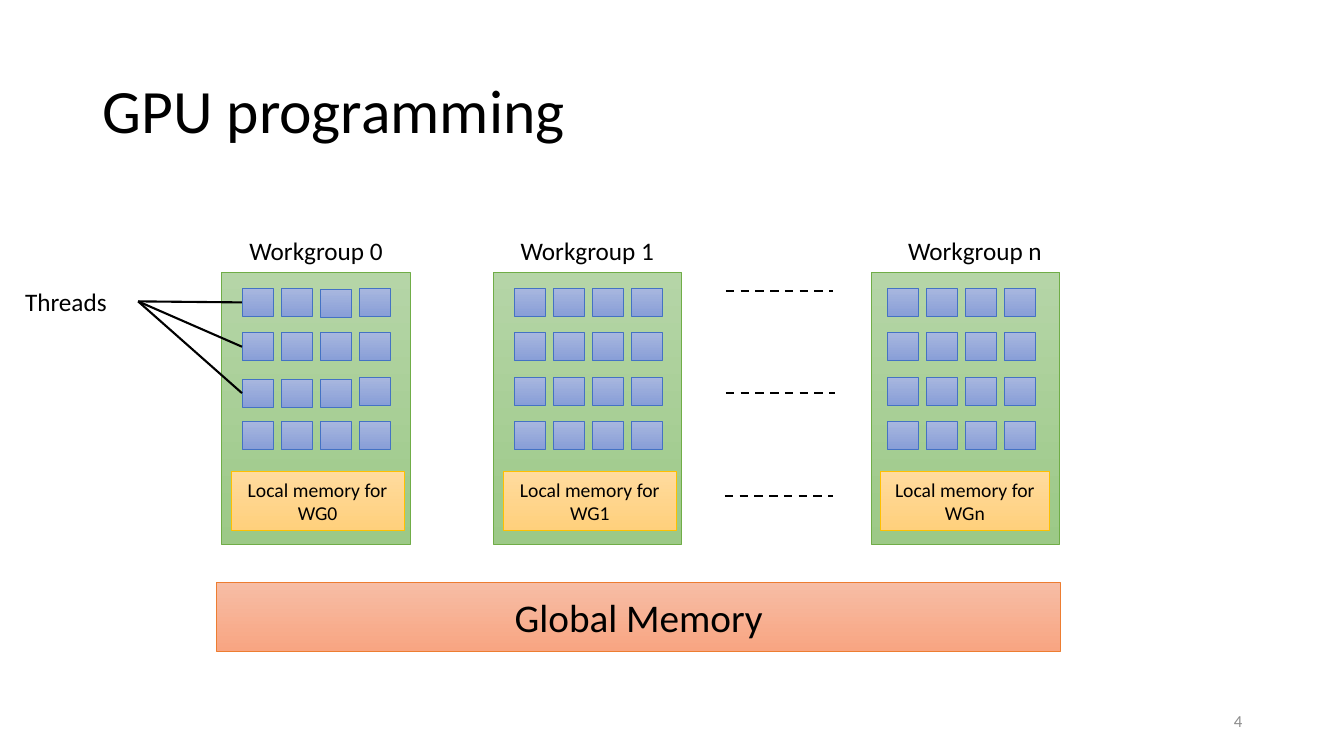
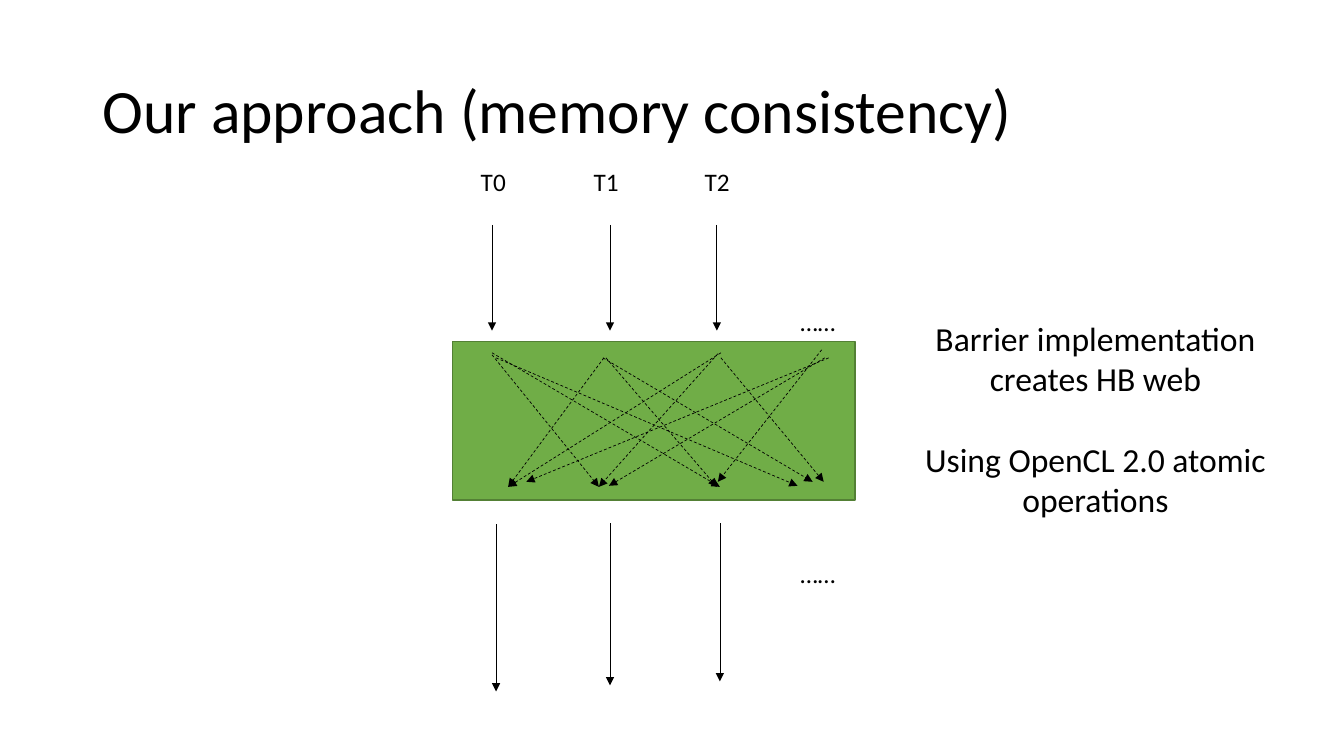
from dataclasses import dataclass

from lxml import etree
from pptx import Presentation
from pptx.dml.color import RGBColor
from pptx.enum.dml import MSO_LINE
from pptx.enum.shapes import MSO_CONNECTOR, MSO_SHAPE
from pptx.enum.text import MSO_ANCHOR, PP_ALIGN
from pptx.oxml.ns import qn
from pptx.util import Inches, Pt

RECTANGLE = MSO_SHAPE.RECTANGLE
STRAIGHT = MSO_CONNECTOR.STRAIGHT
DASH = MSO_LINE.DASH
LEFT, CENTER, RIGHT = PP_ALIGN.LEFT, PP_ALIGN.CENTER, PP_ALIGN.RIGHT
TOP, MIDDLE = MSO_ANCHOR.TOP, MSO_ANCHOR.MIDDLE
LEFT_SIDE = 1


@dataclass(frozen=True)
class Theme:
    font: str = "Calibri"
    ink: str = "000000"
    muted: str = "8C8C8C"
    group: tuple = ("B5D5A7", "9CC987", "70AD47")
    thread: tuple = ("A8B7DF", "889ED7", "4472C4")
    local: tuple = ("FFDB9E", "FFD07C", "FFC000")
    shared: tuple = ("F7BDA5", "F8A582", "ED7D31")
    barrier: tuple = ("70AD47", "70AD47", "538035")
    title: int = 44
    heading: int = 28
    note: int = 24
    label: int = 18
    small: int = 14
    footer: int = 12
    thin: float = 0.5
    outline: float = 1
    thick: float = 1.5


THEME = Theme()

GPU_TITLE = "GPU programming"
PAGE_NUMBER = "4"
WORKGROUPS = [
    {"id": "0", "left": 2.2, "label_width": 1.87, "threads": 2.4, "local": (2.29, 1.72)},
    {"id": "1", "left": 4.89, "label_width": 1.87, "threads": 5.1, "local": (4.99, 1.72)},
    {"id": "n", "left": 8.64, "label_width": 2.06, "threads": 8.8, "local": (8.73, 1.68)},
]
GRID_SIZE = 4
THREAD_TOP, THREAD_WIDTH, THREAD_HEIGHT = 2.86, 0.31, 0.28
COLUMN_STEP, ROW_STEP = 0.387, 0.44
THREAD_NUDGES = {("0", 0, 2): 0.01, ("0", 2, 0): 0.02, ("0", 2, 1): 0.02, ("0", 2, 2): 0.02}
THREADS_POINT = (1.37, 2.99)
POINTED_ROWS = 3
OMITTED_GROUPS = [(7.2, 8.26, 2.89), (7.2, 8.28, 3.9), (7.19, 8.26, 4.92)]

WEB_TITLE = "Our approach (memory consistency)"
THREAD_LABELS = [("T0", 4.67), ("T1", 5.79), ("T2", 6.89)]
ARRIVALS = [4.88, 6.05, 7.11]
DEPARTURES = [(4.92, 5.2, 6.86), (6.05, 5.19, 6.8), (7.14, 5.19, 6.76)]
ELLIPSIS_TOPS = [2.99, 5.49]
HAPPENS_BEFORE = [
    ((4.88, 3.52), (5.94, 4.83)),
    ((4.88, 3.5), (7.14, 4.83)),
    ((4.92, 3.55), (7.91, 4.82)),
    ((5.99, 3.55), (5.04, 4.83)),
    ((6.01, 3.55), (7.11, 4.83)),
    ((5.98, 3.55), (8.06, 4.78)),
    ((7.15, 3.5), (5.04, 4.83)),
    ((7.12, 3.51), (5.94, 4.83)),
    ((7.15, 3.55), (8.17, 4.78)),
    ((8.15, 3.47), (7.12, 4.78)),
    ((8.18, 3.55), (6.04, 4.82)),
    ((8.22, 3.55), (5.22, 4.78)),
]
NOTES = ["Barrier implementation creates HB web", "Using OpenCL 2.0 atomic operations"]


def write(shape, paragraphs, size, align=LEFT, anchor=TOP, color=THEME.ink, gap=0, spacing=1.0):
    frame = shape.text_frame
    frame.word_wrap = True
    frame.vertical_anchor = anchor
    for index, content in enumerate(paragraphs):
        paragraph = frame.paragraphs[0] if index == 0 else frame.add_paragraph()
        paragraph.alignment = align
        paragraph.line_spacing = spacing
        if index:
            paragraph.space_before = Pt(gap)
        run = paragraph.add_run()
        run.text = content
        run.font.name = THEME.font
        run.font.size = Pt(size)
        run.font.color.rgb = RGBColor.from_string(color)


def add_text(slide, box, paragraphs, size, **style):
    write(slide.shapes.add_textbox(*map(Inches, box)), paragraphs, size, **style)


def add_block(slide, box, colors, width=THEME.thin):
    block = slide.shapes.add_shape(RECTANGLE, *map(Inches, box))
    block.shadow.inherit = False
    start, end, border = colors
    if start == end:
        block.fill.solid()
        block.fill.fore_color.rgb = RGBColor.from_string(start)
    else:
        block.fill.gradient()
        block.fill.gradient_angle = 270
        for stop, color in zip(block.fill.gradient_stops, (start, end)):
            stop.color.rgb = RGBColor.from_string(color)
    block.line.color.rgb = RGBColor.from_string(border)
    block.line.width = Pt(width)
    return block


def add_line(slide, start, end, width=THEME.thin, dashed=False, arrow=False):
    line = slide.shapes.add_connector(STRAIGHT, *map(Inches, (*start, *end)))
    line.line.color.rgb = RGBColor.from_string(THEME.ink)
    line.line.width = Pt(width)
    if dashed:
        line.line.dash_style = DASH
    properties = line.element.spPr
    if arrow:
        etree.SubElement(properties.find(qn("a:ln")), qn("a:tailEnd"), type="triangle")
    etree.SubElement(properties, qn("a:effectLst"))
    return line


def add_titled_slide(deck, title):
    slide = deck.slides.add_slide(deck.slide_layouts[6])
    add_text(slide, (0.92, 0.4, 11.5, 1.45), [title], THEME.title, anchor=MIDDLE, spacing=0.9)
    return slide


def add_workgroup(slide, group):
    name, left = group["id"], group["left"]
    add_block(slide, (left, 2.7, 1.87, 2.7), THEME.group)
    add_text(slide, (left, 2.29, group["label_width"], 0.4), [f"Workgroup {name}"],
             THEME.label, align=CENTER)
    threads = {}
    for row in range(GRID_SIZE):
        for column in range(GRID_SIZE):
            x = group["threads"] + column * COLUMN_STEP
            y = THREAD_TOP + row * ROW_STEP + THREAD_NUDGES.get((name, row, column), 0)
            threads[row, column] = add_block(
                slide, (x, y, THREAD_WIDTH, THREAD_HEIGHT), THEME.thread)
    local_left, local_width = group["local"]
    local_memory = add_block(slide, (local_left, 4.68, local_width, 0.58), THEME.local)
    write(local_memory, [f"Local memory for WG{name}"], THEME.small, align=CENTER, anchor=MIDDLE)
    return threads


def build_gpu_slide(deck):
    slide = add_titled_slide(deck, GPU_TITLE)
    thread_grids = [add_workgroup(slide, group) for group in WORKGROUPS]
    for row in range(POINTED_ROWS):
        pointer = add_line(slide, THREADS_POINT, THREADS_POINT, THEME.thick)
        pointer.begin_connect(thread_grids[0][row, 0], LEFT_SIDE)
    add_text(slide, (0.15, 2.79, 1.23, 0.4), ["Threads"], THEME.label)
    for left, right, y in OMITTED_GROUPS:
        add_line(slide, (left, y), (right, y), THEME.thick, dashed=True)
    global_memory = add_block(slide, (2.15, 5.78, 8.37, 0.68), THEME.shared)
    write(global_memory, ["Global Memory"], THEME.heading, align=CENTER, anchor=MIDDLE)
    add_text(slide, (9.42, 6.95, 3, 0.4), [PAGE_NUMBER], THEME.footer,
             align=RIGHT, anchor=MIDDLE, color=THEME.muted)


def build_web_slide(deck):
    slide = add_titled_slide(deck, WEB_TITLE)
    for name, left in THREAD_LABELS:
        add_text(slide, (left, 1.6, 0.54, 0.4), [name], THEME.label)
    for x in ARRIVALS:
        add_line(slide, (x, 2.23), (x, 3.28), arrow=True)
    for x, top, bottom in DEPARTURES:
        add_line(slide, (x, top), (x, bottom), arrow=True)
    for top in ELLIPSIS_TOPS:
        add_text(slide, (7.84, top, 0.67, 0.4), ["……"], THEME.label)
    add_block(slide, (4.49, 3.39, 3.99, 1.57), THEME.barrier, THEME.outline)
    for start, end in HAPPENS_BEFORE:
        add_line(slide, start, end, dashed=True, arrow=True)
    add_text(slide, (8.95, 3.1, 3.83, 2.12), NOTES, THEME.note, align=CENTER, gap=29)


def main():
    deck = Presentation()
    deck.slide_width, deck.slide_height = Inches(13.33), Inches(7.5)
    build_gpu_slide(deck)
    build_web_slide(deck)
    deck.save("out.pptx")


if __name__ == "__main__":
    main()
